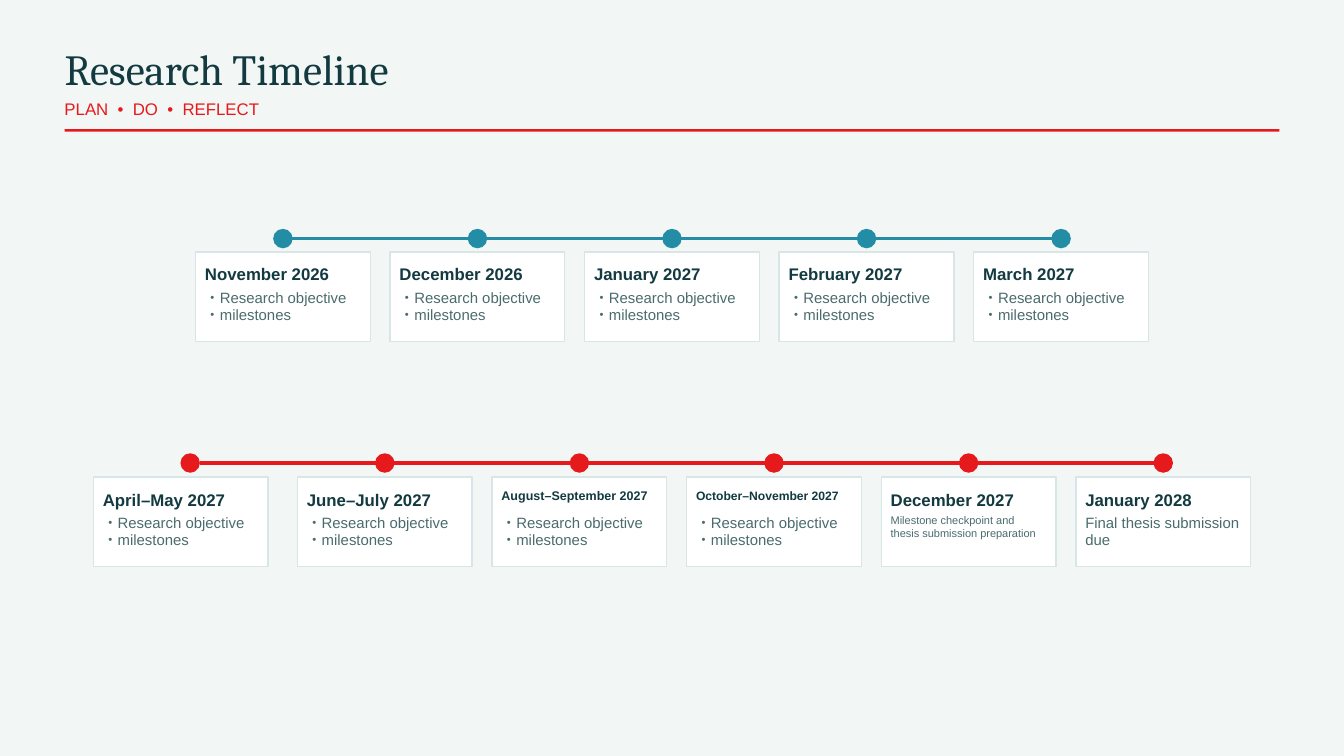
from pptx import Presentation
from pptx.dml.color import RGBColor
from pptx.enum.shapes import MSO_CONNECTOR, MSO_SHAPE
from pptx.enum.text import MSO_AUTO_SIZE
from pptx.oxml.ns import qn
from pptx.util import Inches, Pt
from lxml.etree import SubElement

# Content
TITLE = "Research Timeline"
SUBTITLE = "PLAN  •  DO  •  REFLECT"
MILESTONES = ["・Research objective", "・milestones"]
CHECKPOINT = ["Milestone checkpoint and", "thesis submission preparation"]
SUBMISSION = ["Final thesis submission due"]

# Each entry: heading, heading size, body lines, body size, card shift
TIMELINES = [
    {
        "color": "228DA5", "first": 4.21, "last": 15.79,
        "line": (4.21, 15.65), "dot_y": 3.55, "card_y": 3.75,
        "entries": [
            ("November 2026", 18, MILESTONES, 16, 0),
            ("December 2026", 18, MILESTONES, 16, 0),
            ("January 2027", 18, MILESTONES, 16, 0),
            ("February 2027", 18, MILESTONES, 16, 0),
            ("March 2027", 18, MILESTONES, 16, 0),
        ],
    },
    {
        "color": "E6191C", "first": 2.83, "last": 17.31,
        "line": (2.98, 17.31), "dot_y": 6.89, "card_y": 7.1,
        "entries": [
            ("April–May 2027", 18, MILESTONES, 16, -0.14),
            ("June–July 2027", 18, MILESTONES, 16, 0),
            ("August–September 2027", 13.4, MILESTONES, 16, 0),
            ("October–November 2027", 13, MILESTONES, 16, 0),
            ("December 2027", 18, CHECKPOINT, 11.8, 0),
            ("January 2028", 18, SUBMISSION, 16, 0),
        ],
    },
]

# Style
BACKGROUND, INK, BODY, ACCENT = "F2F7F5", "123A40", "4A6B6E", "E6191C"
WHITE, CARD_BORDER = "FFFFFF", "D8E6E8"
CARD_WIDTH, CARD_HEIGHT, PADDING, DOT = 2.6, 1.33, 0.14, 0.29
HEADING_SPACING, BODY_SPACING = 1.4, 1.15


def rgb(value):
    return RGBColor.from_string(value)


def add_text(slide, box, lines, spacing, color, **font_format):
    text_box = slide.shapes.add_textbox(*map(Inches, box))
    frame = text_box.text_frame
    settings = {"margin_left": 0, "margin_right": 0, "margin_top": 0,
                "margin_bottom": 0, "word_wrap": True,
                "auto_size": MSO_AUTO_SIZE.SHAPE_TO_FIT_TEXT}
    for name, value in settings.items():
        setattr(frame, name, value)
    for index, line in enumerate(lines):
        paragraph = frame.add_paragraph() if index else frame.paragraphs[0]
        run = paragraph.add_run()
        run.text = line
        paragraph.line_spacing = Pt(round(font_format["size"].pt * spacing, 1))
        for name, value in font_format.items():
            setattr(run.font, name, value)
        run.font.color.rgb = rgb(color)


def add_block(slide, kind, box, fill, border=None):
    shape = slide.shapes.add_shape(kind, *map(Inches, box))
    shape.shadow.inherit = False
    shape.fill.solid()
    shape.fill.fore_color.rgb = rgb(fill)
    if border:
        shape.line.color.rgb = rgb(border)
        shape.line.width = Pt(1.5)
    else:
        shape.line.fill.background()


def add_line(slide, start, end, y, color):
    line = slide.shapes.add_connector(
        MSO_CONNECTOR.STRAIGHT, Inches(start), Inches(y), Inches(end), Inches(y))
    line.line.color.rgb = rgb(color)
    line.line.width = Pt(3.75)
    SubElement(line._element.spPr, qn("a:effectLst"))


def add_card(slide, left, top, heading, heading_size, body, body_size):
    add_block(slide, MSO_SHAPE.RECTANGLE, (left, top, CARD_WIDTH, CARD_HEIGHT),
              WHITE, CARD_BORDER)
    text_left, text_width = left + PADDING, 2.31
    add_text(slide, (text_left, top + 0.13, text_width, heading_size * 0.019),
             [heading], HEADING_SPACING, INK,
             size=Pt(heading_size), name="Arial", bold=True)
    add_text(slide, (text_left, top + 0.55, text_width, body_size * 0.031),
             body, BODY_SPACING, BODY, size=Pt(body_size), name="Arial")


def add_timeline(slide, timeline):
    color, dot_y = timeline["color"], timeline["dot_y"]
    entries = timeline["entries"]
    step = (timeline["last"] - timeline["first"]) / (len(entries) - 1)
    add_line(slide, *timeline["line"], dot_y, color)
    for index, (*card, shift) in enumerate(entries):
        center = timeline["first"] + index * step
        add_block(slide, MSO_SHAPE.OVAL,
                  (center - DOT / 2, dot_y - DOT / 2, DOT, DOT), color)
        add_card(slide, center - CARD_WIDTH / 2 + shift, timeline["card_y"], *card)


def main():
    presentation = Presentation()
    presentation.slide_width = Inches(20)
    presentation.slide_height = Inches(11.25)
    slide = presentation.slides.add_slide(presentation.slide_layouts[6])
    slide.background.fill.solid()
    slide.background.fill.fore_color.rgb = rgb(BACKGROUND)

    # Header
    add_text(slide, (0.96, 0.51, 15.62, 0.85), [TITLE], HEADING_SPACING, INK,
             size=Pt(46), name="Cambria")
    add_text(slide, (0.96, 1.42, 8.33, 0.34), [SUBTITLE], HEADING_SPACING, ACCENT,
             size=Pt(18), name="Arial")
    add_block(slide, MSO_SHAPE.RECTANGLE, (0.96, 1.92, 18.08, 0.04), ACCENT)

    # Timelines
    for timeline in TIMELINES:
        add_timeline(slide, timeline)

    presentation.save("out.pptx")


if __name__ == "__main__":
    main()
